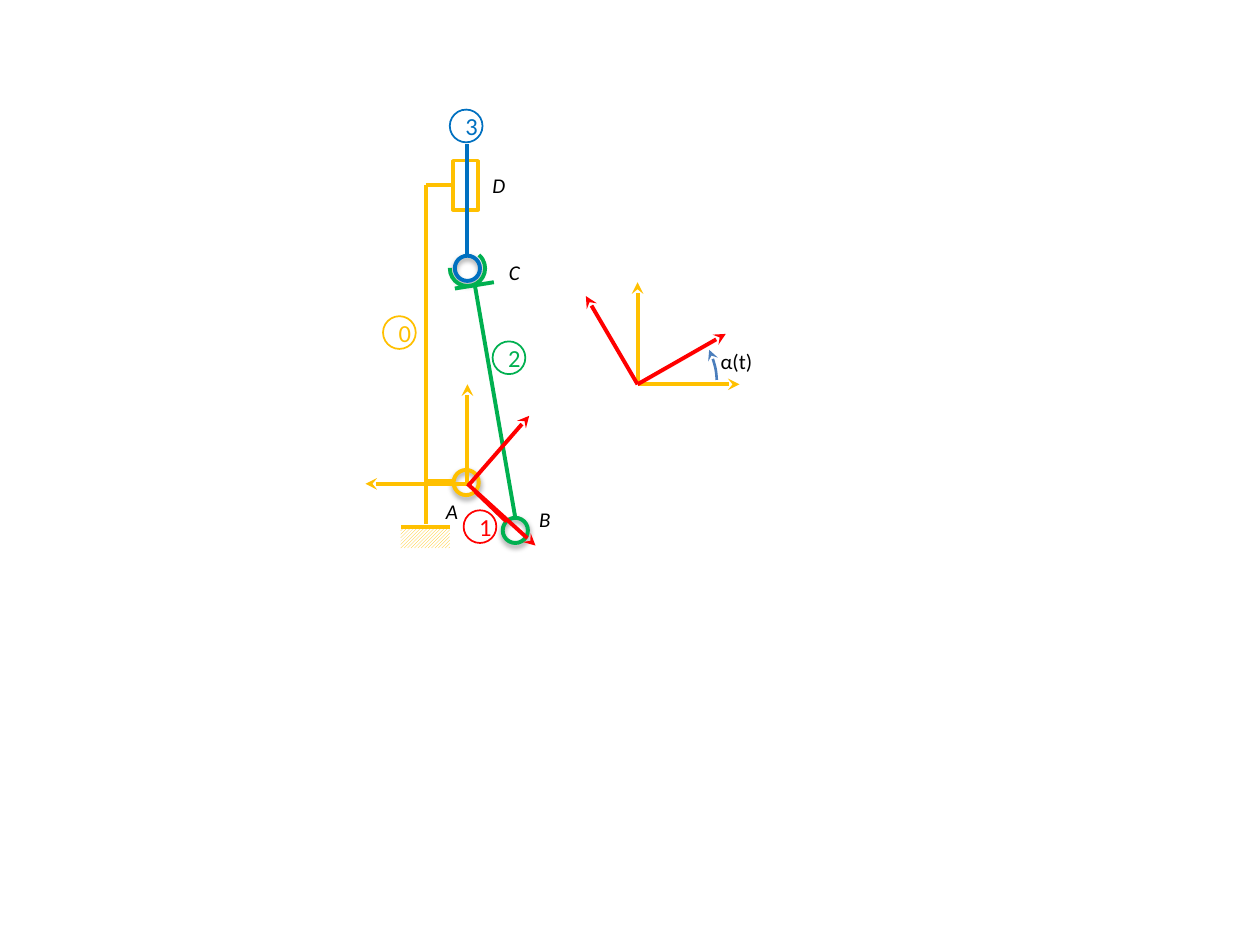
"""Draw the kinematic diagram of a crank, rod and slider with its angle figure."""
from dataclasses import dataclass
from typing import Optional, Union

from pptx import Presentation
from pptx.dml.color import RGBColor
from pptx.enum.dml import MSO_PATTERN
from pptx.enum.shapes import MSO_CONNECTOR, MSO_SHAPE
from pptx.enum.text import MSO_ANCHOR, MSO_AUTO_SIZE, PP_ALIGN
from pptx.oxml import parse_xml
from pptx.oxml.ns import nsdecls, qn
from pptx.oxml.xmlchemy import OxmlElement
from pptx.util import Inches, Pt


@dataclass(frozen=True)
class Theme:
    font: str = "Calibri"
    frame: str = "FFC000"
    crank: str = "FF0000"
    rod: str = "00B050"
    slider: str = "0070C0"
    angle: str = "4B7EBC"
    paper: str = "FFFFFF"
    ink: str = "000000"
    badge_size: float = 14
    label_size: float = 12
    thin: float = 1
    medium: float = 1.5
    guide: float = 2
    thick: float = 2.25


THEME = Theme()


@dataclass(frozen=True)
class Badge:
    digit: str
    left: float
    top: float
    color: str


@dataclass(frozen=True)
class Label:
    text: str
    left: float
    top: float
    width: float = 0.31
    italic: bool = True


@dataclass(frozen=True)
class Joint:
    left: float
    top: float
    color: str


@dataclass(frozen=True)
class Bar:
    start: tuple[float, float]
    end: tuple[float, float]
    color: str
    arrow: bool = False


@dataclass(frozen=True)
class Arc:
    left: float
    top: float
    size: float
    angles: tuple[float, float]
    color: str
    width: float
    mirrored: bool = False
    arrow: bool = False


@dataclass(frozen=True)
class Block:
    left: float
    top: float
    width: float
    height: float
    rotation: float = 0
    hatched: bool = False


Part = Union[Joint, Bar, Arc, Block]


def rgb(color: str) -> RGBColor:
    """Turn a hex string into a colour."""
    return RGBColor.from_string(color)


def write(frame, text: str, *, size: float, color: str, italic: Optional[bool] = None,
          align: Optional[PP_ALIGN] = None) -> None:
    """Put formatted text in a text frame."""
    paragraph = frame.paragraphs[0]
    paragraph.alignment = align
    run = paragraph.add_run()
    run.text = text
    font = run.font
    font.name, font.size, font.italic = THEME.font, Pt(size), italic
    font.color.rgb = rgb(color)


def set_stroke(line, color: str, width: float) -> None:
    """Give a line its colour and width."""
    line.color.rgb = rgb(color)
    line.width = Pt(width)


def add_arrowhead(shape, end: str) -> None:
    """Put a stealth arrowhead on one end of a stroke."""
    head = OxmlElement(end)
    head.set("type", "stealth")
    shape._element.spPr.find(qn("a:ln")).append(head)


def add_outline(shapes, preset: MSO_SHAPE, left: float, top: float, width: float, height: float):
    """Add an unfilled shape without shadow."""
    shape = shapes.add_shape(preset, Inches(left), Inches(top), Inches(width), Inches(height))
    shape.shadow.inherit = False
    shape.fill.background()
    return shape


def draw_badge(shapes, badge: Badge) -> None:
    """Draw the circled number of a solid."""
    circle = add_outline(shapes, MSO_SHAPE.OVAL, badge.left, badge.top, 0.26, 0.26)
    circle.fill.solid()
    circle.fill.fore_color.rgb = rgb(THEME.paper)
    set_stroke(circle.line, badge.color, THEME.thin)
    circle.text_frame.vertical_anchor = MSO_ANCHOR.MIDDLE
    write(circle.text_frame, badge.digit, size=THEME.badge_size, color=badge.color,
          align=PP_ALIGN.CENTER)


def draw_label(shapes, label: Label) -> None:
    """Draw a point or angle name."""
    box = shapes.add_textbox(Inches(label.left), Inches(label.top), Inches(label.width), Inches(0.3))
    box.text_frame.word_wrap = True
    box.text_frame.auto_size = MSO_AUTO_SIZE.SHAPE_TO_FIT_TEXT
    write(box.text_frame, label.text, size=THEME.label_size, color=THEME.ink,
          italic=label.italic)


def draw_joint(shapes, joint: Joint) -> None:
    """Draw a shadowed ring for a joint."""
    ring = add_outline(shapes, MSO_SHAPE.OVAL, joint.left, joint.top, 0.2, 0.2)
    set_stroke(ring.line, joint.color, THEME.thick)
    ring._element.spPr.find(qn("a:effectLst")).append(parse_xml(
        f'<a:outerShdw {nsdecls("a")} blurRad="{Pt(3.1)}" dist="{Pt(1.6)}" dir="5400000" '
        f'rotWithShape="0"><a:srgbClr val="{THEME.ink}"><a:alpha val="38000"/></a:srgbClr>'
        '</a:outerShdw>'))


def draw_bar(shapes, bar: Bar) -> None:
    """Draw a straight link or axis."""
    ends = [Inches(value) for value in (*bar.start, *bar.end)]
    link = shapes.add_connector(MSO_CONNECTOR.STRAIGHT, *ends)
    set_stroke(link.line, bar.color, THEME.thick)
    link._element.spPr.append(OxmlElement("a:effectLst"))
    if bar.arrow:
        add_arrowhead(link, "a:tailEnd")


def draw_arc(shapes, arc: Arc) -> None:
    """Draw a circular arc."""
    curve = add_outline(shapes, MSO_SHAPE.ARC, arc.left, arc.top, arc.size, arc.size)
    for index, degrees in enumerate(arc.angles):
        curve.adjustments[index] = degrees * 0.6
    set_stroke(curve.line, arc.color, arc.width)
    if arc.mirrored:
        curve._element.spPr.find(qn("a:xfrm")).set("flipH", "1")
    if arc.arrow:
        add_arrowhead(curve, "a:headEnd")


def draw_block(shapes, block: Block) -> None:
    """Draw the slider guide or the hatched ground."""
    box = add_outline(shapes, MSO_SHAPE.RECTANGLE, block.left, block.top, block.width, block.height)
    box.rotation = block.rotation
    if block.hatched:
        box.fill.patterned()
        box.fill.pattern = MSO_PATTERN.LIGHT_UPWARD_DIAGONAL
        box.fill.fore_color.rgb = rgb(THEME.frame)
        box.fill.back_color.rgb = rgb(THEME.paper)
        box.line.fill.background()
    else:
        set_stroke(box.line, THEME.frame, THEME.guide)


DRAWERS = {Joint: draw_joint, Bar: draw_bar, Arc: draw_arc, Block: draw_block}
F, K, R, S = THEME.frame, THEME.crank, THEME.rod, THEME.slider
BADGES = [Badge("0", 3.04, 2.51, F), Badge("2", 3.91, 2.71, R),
          Badge("1", 3.68, 4.05, K), Badge("3", 3.57, 0.87, S)]
POINTS = [Label("A", 3.44, 3.91), Label("C", 3.94, 2.01),
          Label("D", 3.81, 1.32), Label("B", 4.18, 3.97)]
MECHANISM: list[Part] = [
    Joint(3.6, 3.73, F), Joint(3.99, 4.11, R), Bar((4.02, 4.14), (3.77, 3.9), K),
    Joint(3.61, 2.03, S), Bar((4.09, 4.11), (3.77, 2.27), R),
    Block(3.5, 1.37, 0.39, 0.2, rotation=270), Bar((3.71, 1.14), (3.71, 2.03), S),
    Arc(3.57, 1.99, 0.28, (358.57, 229.65), R, THEME.thick, mirrored=True),
    Bar((3.92, 2.24), (3.61, 2.29), R), Bar((3.6, 1.47), (3.38, 1.47), F),
    Bar((3.38, 4.16), (3.38, 1.47), F), Bar((3.6, 3.82), (3.38, 3.82), F),
    Block(3.18, 4.19, 0.39, 0.16, hatched=True), Bar((3.57, 4.18), (3.18, 4.18), F),
    Bar((3.71, 3.86), (3.71, 3.05), F, True), Bar((3.7, 3.84), (2.9, 3.84), F, True),
    Bar((3.71, 3.84), (4.25, 4.33), K, True)]
CRANK_NORMAL = Bar((3.72, 3.85), (4.2, 3.3), K, True)
ORIGIN = (5.06, 3.05)
AXES = [((5.87, 3.05), F), ((5.06, 2.24), F), ((5.76, 2.65), K), ((4.65, 2.35), K)]
ANGLE_FIGURE: list[Part] = [Bar(ORIGIN, tip, color, True) for tip, color in AXES]
ANGLE_FIGURE.append(Arc(4.41, 2.41, 1.28, (334.73, 356.95), THEME.angle, THEME.medium, arrow=True))


def draw_group(shapes, parts: list[Part]) -> None:
    """Draw parts together in one group."""
    group = shapes.add_group_shape()
    for part in parts:
        DRAWERS[type(part)](group.shapes, part)


def main() -> None:
    """Build and save the slide."""
    deck = Presentation()
    deck.slide_width, deck.slide_height = Inches(10), Inches(7.5)
    shapes = deck.slides.add_slide(deck.slide_layouts[6]).shapes
    for badge in BADGES:
        draw_badge(shapes, badge)
    for point in POINTS:
        draw_label(shapes, point)
    draw_group(shapes, MECHANISM)
    draw_bar(shapes, CRANK_NORMAL)
    draw_group(shapes, ANGLE_FIGURE)
    draw_label(shapes, Label("α(t)", 5.62, 2.72, width=0.78, italic=False))
    deck.save("out.pptx")


if __name__ == "__main__":
    main()
